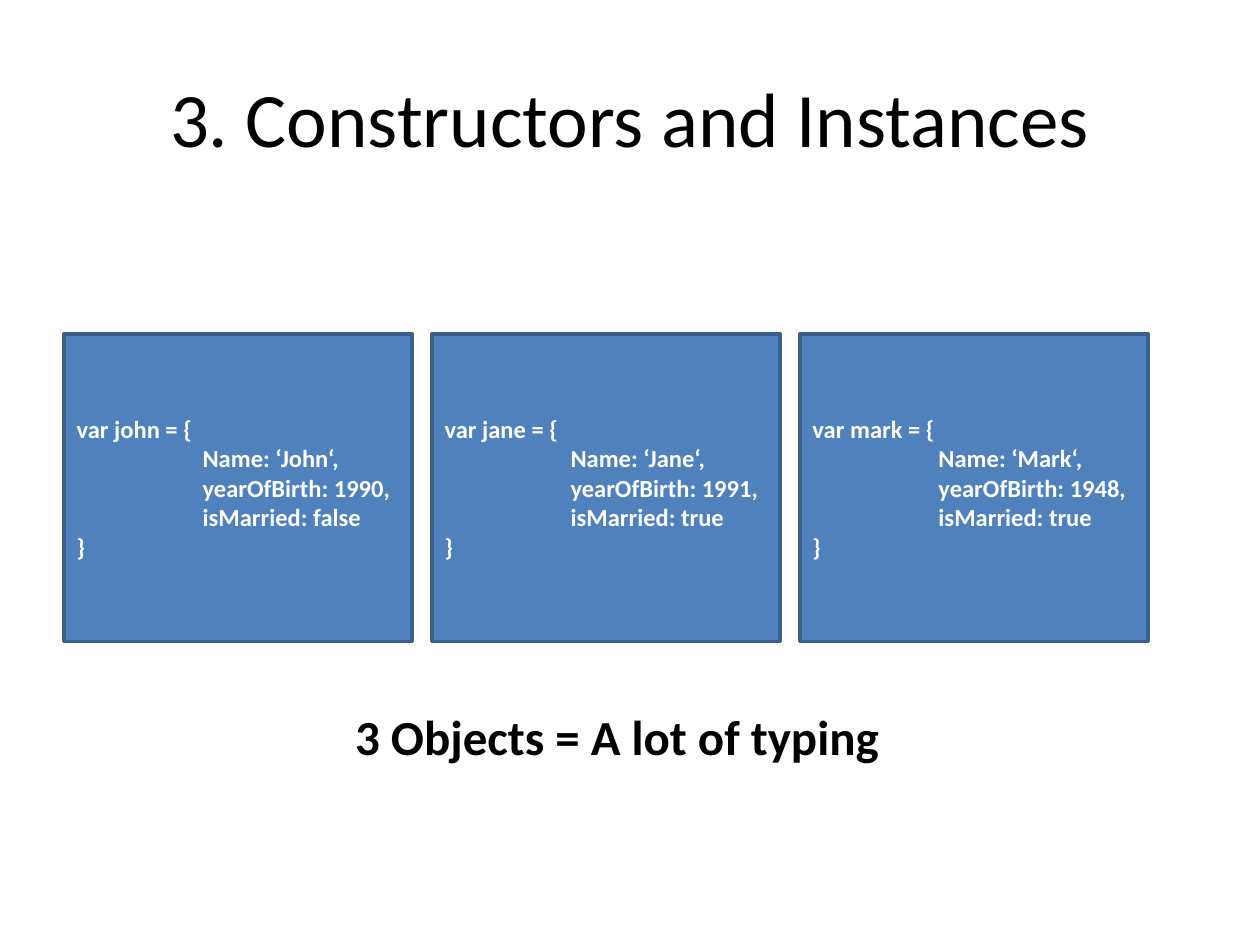
import lxml.etree
import pptx
import pptx.util
import pptx.dml.color
import pptx.enum.shapes
import pptx.enum.text
import pptx.oxml.ns

Inches = pptx.util.Inches
PP_ALIGN = pptx.enum.text.PP_ALIGN
MIDDLE = pptx.enum.text.MSO_ANCHOR.MIDDLE
qn = pptx.oxml.ns.qn


def rgb(value):
    return pptx.dml.color.RGBColor.from_string(value)


def write(tf, lines, align, color, font):
    for i, line in enumerate(lines):
        p = tf.paragraphs[0] if i == 0 else tf.add_paragraph()
        p.alignment = align
        r = p.add_run()
        r.text = line
        r.font.color.rgb = rgb(color)
        for name, value in font.items():
            setattr(r.font, name, value)


title_font = {"name": "Calibri", "size": pptx.util.Pt(44), "bold": False}
code_font = {"name": "Calibri", "size": pptx.util.Pt(14), "bold": True}
summary_font = {"name": "Calibri", "size": pptx.util.Pt(28), "bold": True}

prs = pptx.Presentation()
prs.slide_width = Inches(10)
prs.slide_height = Inches(7.5)
s = prs.slides.add_slide(prs.slide_layouts[6])

sp = s.shapes.add_textbox(Inches(0.5), Inches(0.3), Inches(9), Inches(1.25))
tf = sp.text_frame
tf.word_wrap = True
tf.vertical_anchor = MIDDLE
write(tf, ["3. Constructors and Instances"], PP_ALIGN.CENTER, "000000", title_font)

people = [
    ("John", 1990, "false"),
    ("Jane", 1991, "true"),
    ("Mark", 1948, "true"),
]
for i, (name, year, married) in enumerate(people):
    sp = s.shapes.add_shape(
        pptx.enum.shapes.MSO_SHAPE.RECTANGLE,
        Inches(0.51 + i * 2.92), Inches(2.65), Inches(2.76), Inches(2.44),
    )
    sp.shadow.inherit = False
    sp.fill.solid()
    sp.fill.fore_color.rgb = rgb("4F81BD")
    sp.line.color.rgb = rgb("3A5F8C")
    sp.line.width = pptx.util.Pt(2)
    tf = sp.text_frame
    tf.word_wrap = True
    tf.vertical_anchor = MIDDLE
    lines = [
        f"var {name.lower()} = {{",
        f"\tName: ‘{name}‘,",
        f"\tyearOfBirth: {year},",
        f"\tisMarried: {married}",
        "}",
    ]
    write(tf, lines, PP_ALIGN.LEFT, "FFFFFF", code_font)
    for p in tf.paragraphs:
        tabs = lxml.etree.SubElement(p._p.get_or_add_pPr(), qn("a:tabLst"))
        lxml.etree.SubElement(tabs, qn("a:tab"), pos=str(Inches(1)), algn="l")

sp = s.shapes.add_textbox(Inches(2.72), Inches(5.56), Inches(4.41), Inches(0.57))
tf = sp.text_frame
tf.word_wrap = False
tf.auto_size = pptx.enum.text.MSO_AUTO_SIZE.SHAPE_TO_FIT_TEXT
write(tf, ["3 Objects = A lot of typing"], PP_ALIGN.LEFT, "000000", summary_font)

prs.save("out.pptx")
